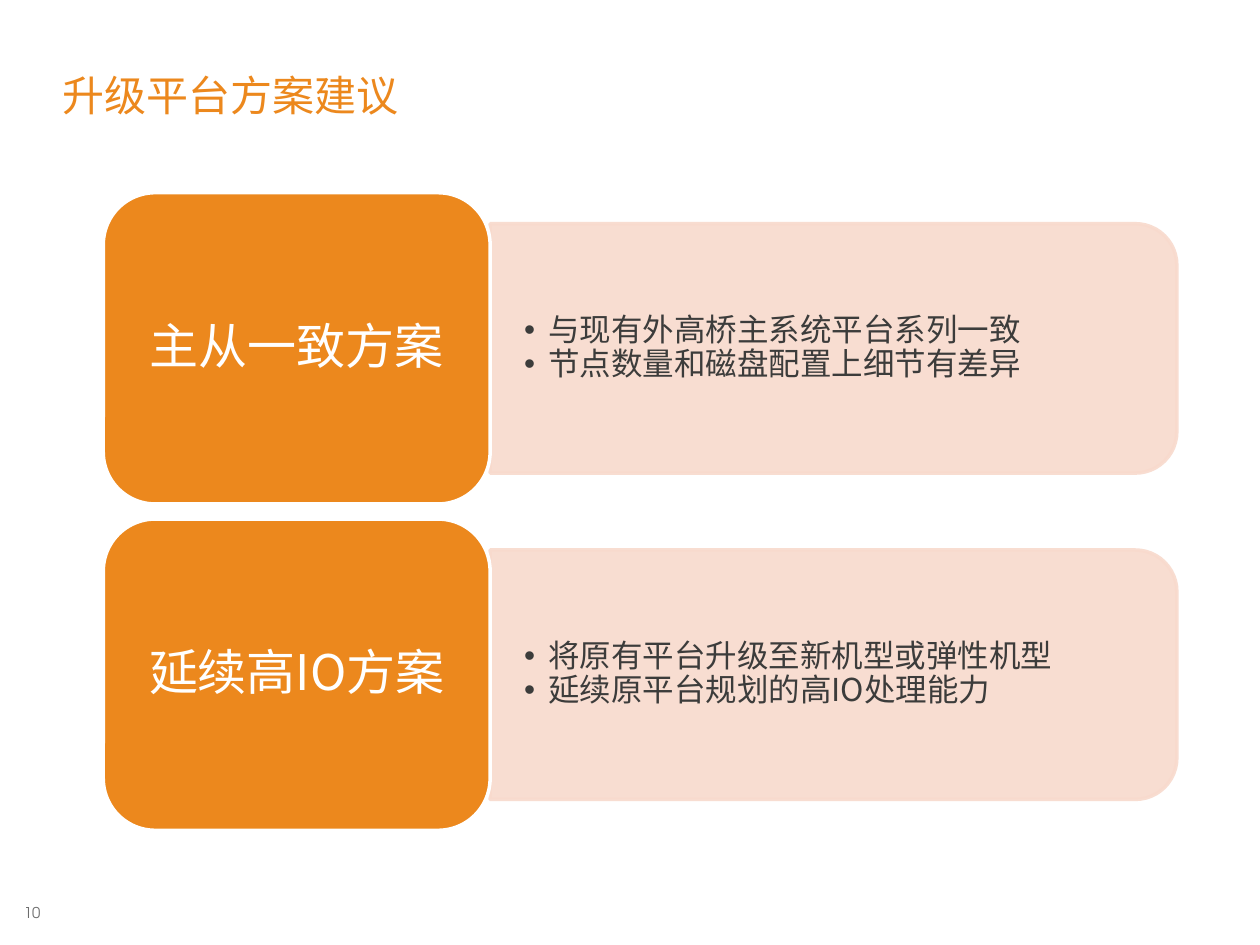
from dataclasses import dataclass

from lxml import etree
from pptx import Presentation
from pptx.dml.color import RGBColor
from pptx.enum.shapes import MSO_SHAPE
from pptx.enum.text import MSO_ANCHOR, PP_ALIGN
from pptx.oxml.ns import qn
from pptx.util import Inches, Pt

ROUND = MSO_SHAPE.ROUNDED_RECTANGLE
TAB = MSO_SHAPE.ROUND_2_SAME_RECTANGLE
MIDDLE, BOTTOM, TOP = MSO_ANCHOR.MIDDLE, MSO_ANCHOR.BOTTOM, MSO_ANCHOR.TOP
LEFT, CENTER, RIGHT = PP_ALIGN.LEFT, PP_ALIGN.CENTER, PP_ALIGN.RIGHT


@dataclass(frozen=True)
class Theme:
    font: str = "Noto Sans CJK SC"
    num_font: str = "TeX Gyre Adventor"
    orange: str = "EC881D"
    pink: str = "F8DACD"
    white: str = "FFFFFF"
    ink: str = "3C3C3B"
    gray: str = "6C6C6C"
    title: float = 24
    card: float = 28
    body: float = 18
    num: float = 8.5


THEME = Theme()
PLANS = [
    ("主从一致方案",
     ["与现有外高桥主系统平台系列一致", "节点数量和磁盘配置上细节有差异"]),
    ("延续高IO方案",
     ["将原有平台升级至新机型或弹性机型", "延续原平台规划的高IO处理能力"]),
]
CARD_X, CARD_Y, CARD_W, CARD_H = 0.82, 1.53, 3.07, 2.47
STEP = 2.59
PANEL_W, PANEL_H = 5.45, 1.98


def set_frame(frame, pads, anchor, wrap=True):
    """Set the side and top insets in inches, the anchor and the wrap."""
    side, top = (Inches(pad) for pad in pads)
    frame.margin_left = frame.margin_right = side
    frame.margin_top = frame.margin_bottom = top
    frame.vertical_anchor = anchor
    frame.word_wrap = wrap


def add_run(para, text, size, color, name=THEME.font):
    run = para.add_run()
    run.text = text
    font = run.font
    font.size = Pt(size)
    font.color.rgb = RGBColor.from_string(color)
    font.name = name
    etree.SubElement(font._element, qn("a:ea"), typeface=name)


def add_bullet(para):
    props = para._p.get_or_add_pPr()
    indent = Inches(0.19)
    props.set("marL", str(indent))
    props.set("indent", str(-indent))
    etree.SubElement(props, qn("a:buFont"), typeface="Arial")
    etree.SubElement(props, qn("a:buChar"), char="•")


def add_box(slide, area, pads=(0, 0), anchor=TOP, wrap=True):
    box = slide.shapes.add_textbox(*map(Inches, area))
    set_frame(box.text_frame, pads, anchor, wrap)
    return box.text_frame


def add_label(slide, area, text, size, color, name=THEME.font,
              anchor=TOP, align=LEFT, space=1.0, wrap=True):
    para = add_box(slide, area, anchor=anchor, wrap=wrap).paragraphs[0]
    para.alignment = align
    para.line_spacing = space
    add_run(para, text, size, color, name)


def add_form(slide, kind, area, fill, line):
    form = slide.shapes.add_shape(kind, *map(Inches, area))
    form.shadow.inherit = False
    form.fill.solid()
    form.fill.fore_color.rgb = RGBColor.from_string(fill)
    form.line.color.rgb = RGBColor.from_string(line)
    form.line.width = Pt(2)
    return form


def add_panel(slide, mid):
    """Draw a pale panel, rounded on its right side, centred on mid."""
    left = CARD_X + CARD_W + (PANEL_W - PANEL_H) / 2
    area = (left, mid - PANEL_W / 2, PANEL_H, PANEL_W)
    panel = add_form(slide, TAB, area, THEME.pink, THEME.pink)
    panel.rotation = 90
    for color in panel._element.spPr.iter(qn("a:srgbClr")):
        etree.SubElement(color, qn("a:alpha"), val="90000")


def add_points(slide, mid, points):
    area = (CARD_X + CARD_W, mid - 0.89, 5.35, 1.78)
    frame = add_box(slide, area, (0.27, 0.14), MIDDLE)
    for i, point in enumerate(points):
        para = frame.add_paragraph() if i else frame.paragraphs[0]
        add_bullet(para)
        para.line_spacing = 0.9
        add_run(para, point, THEME.body, THEME.ink)


def add_card(slide, top, text):
    area = (CARD_X, top, CARD_W, CARD_H)
    card = add_form(slide, ROUND, area, THEME.orange, THEME.white)
    set_frame(card.text_frame, (0.12, 0.06), MIDDLE)
    para = card.text_frame.paragraphs[0]
    para.alignment = CENTER
    para.line_spacing = 0.9
    add_run(para, text, THEME.card, THEME.white)


def main():
    deck = Presentation()
    deck.slide_width, deck.slide_height = Inches(10), Inches(7.5)
    slide = deck.slides.add_slide(deck.slide_layouts[6])
    add_label(slide, (0.17, 7.17, 0.15, 0.14), "10", THEME.num, THEME.gray,
              THEME.num_font, align=RIGHT, wrap=False)
    add_label(slide, (0.5, 0.19, 9, 0.77), "升级平台方案建议", THEME.title,
              THEME.orange, anchor=BOTTOM, space=0.95)
    for i, (name, points) in enumerate(PLANS):
        top = CARD_Y + i * STEP
        mid = top + CARD_H / 2
        add_panel(slide, mid)
        add_points(slide, mid, points)
        add_card(slide, top, name)
    deck.save("out.pptx")


if __name__ == "__main__":
    main()
